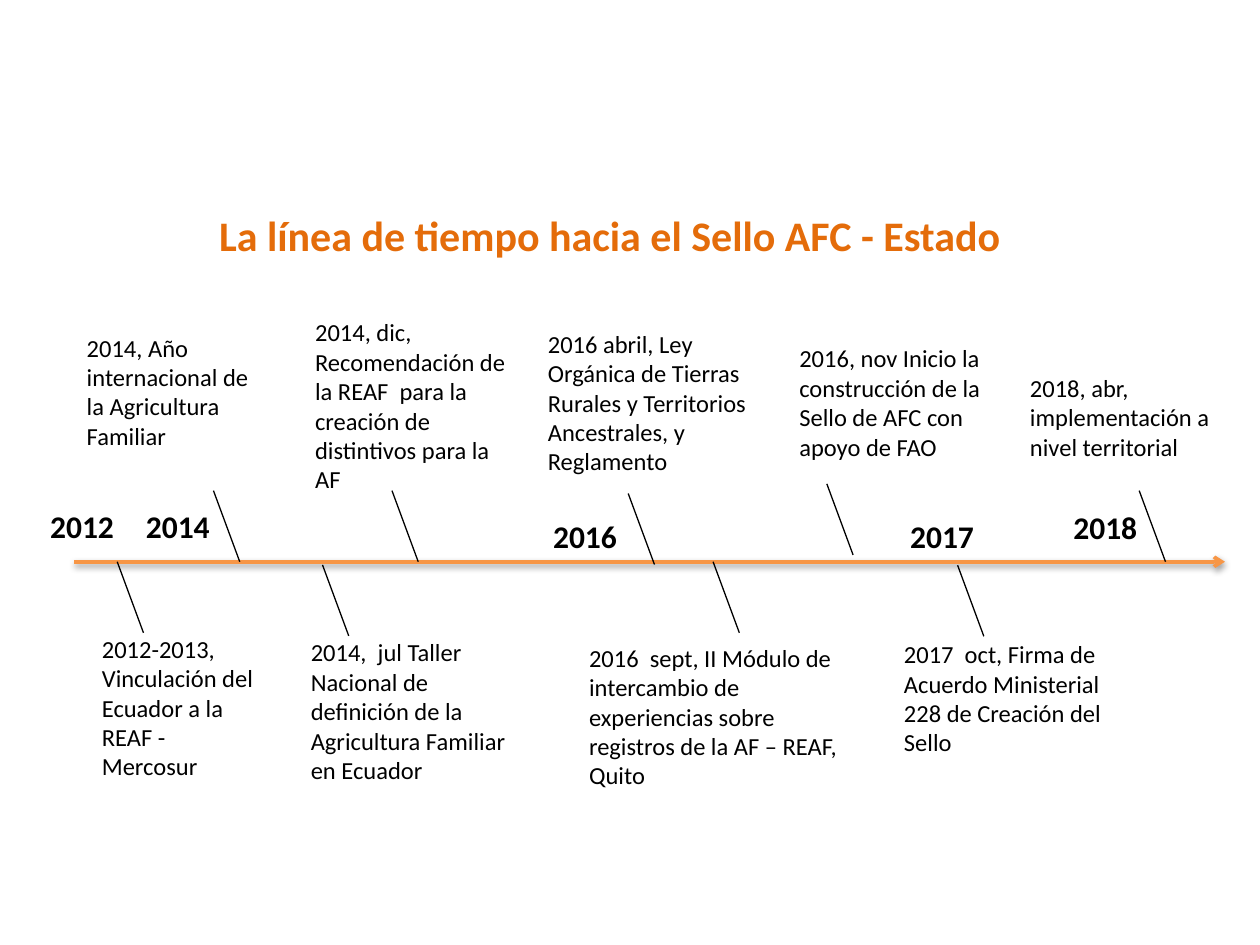
"""Build a timeline slide with dated notes above and below an arrow."""
from lxml.etree import SubElement
from pptx import Presentation
from pptx.dml.color import RGBColor
from pptx.enum.shapes import MSO_CONNECTOR
from pptx.enum.text import MSO_ANCHOR, MSO_AUTO_SIZE, PP_ALIGN
from pptx.oxml.ns import qn
from pptx.util import Pt

BLACK = RGBColor(0, 0, 0)
RUST = RGBColor(0xE4, 0x6C, 0x0A)
ORANGE = RGBColor(0xF7, 0x96, 0x46)
FONT = "Calibri"
TITLE = "La línea de tiempo hacia el Sello AFC - Estado"
AXIS = (42.5, 321, 700, 321)
LEAN, DROP = 15, 40.6

NOTES = [
    ("2012-2013, Vinculación del Ecuador a la REAF - Mercosur", 51.1, 358.6, 101.5, 92),
    ("2014, Año internacional de la Agricultura Familiar", 42.5, 186.5, 108, 75),
    ("2014, dic, Recomendación de la REAF  para la creación de distintivos para la AF",
     173, 177.8, 126.7, 109),
    ("2016 abril, Ley Orgánica de Tierras Rurales y Territorios Ancestrales, y Reglamento",
     306, 184.3, 131.8, 92),
    ("2014,  jul Taller Nacional de definición de la Agricultura Familiar en Ecuador",
     170.5, 360.7, 135.4, 92),
    ("2016  sept, II Módulo de  intercambio de experiencias sobre registros de la AF – REAF, Quito",
     329.5, 363.8, 157.7, 92),
    ("2016, nov Inicio la construcción de la Sello de AFC con apoyo de FAO", 449.7, 192.7, 120.2, 75),
    ("2017  oct, Firma de Acuerdo Ministerial  228 de Creación del Sello", 509.5, 361.7, 141.8, 75),
    ("2018, abr, implementación a nivel territorial", 581.5, 209.5, 120.2, 58),
]
YEARS = [("2014", 76.3, 286), ("2012", 21.6, 286), ("2016", 309, 291.6),
         ("2017", 513, 291.6), ("2018", 606.3, 287)]
TICKS = [(67, 321), (184.3, 322.8), (359, 282), (547.2, 323), (122, 280.4),
         (224, 280.4), (407.5, 321), (472.5, 276.5), (651, 280.4)]


def style(shape, text, size, color=BLACK, bold=False, align=PP_ALIGN.LEFT):
    frame = shape.text_frame
    frame.text = text
    frame.word_wrap = True
    frame.auto_size = MSO_AUTO_SIZE.NONE
    frame.vertical_anchor = MSO_ANCHOR.TOP
    para = frame.paragraphs[0]
    para.alignment = align
    para.font.name = FONT
    para.font.size = Pt(size)
    para.font.bold = bold
    para.font.color.rgb = color


def add_text(slide, text, box, size, bold=False):
    shape = slide.shapes.add_textbox(*map(Pt, box))
    style(shape, text, size, bold=bold)


def add_line(slide, ends, color, width):
    line = slide.shapes.add_connector(MSO_CONNECTOR.STRAIGHT, *map(Pt, ends))
    line.line.color.rgb = color
    line.line.width = Pt(width)
    effect = SubElement(line._element.spPr, qn("a:effectLst"))
    return line, effect


def add_axis(slide):
    line, effect = add_line(slide, AXIS, ORANGE, 2)
    SubElement(line.get_or_add_ln(), qn("a:tailEnd"), type="arrow")
    shade = SubElement(effect, qn("a:outerShdw"), blurRad="40000", dist="20000",
                       dir="5400000", rotWithShape="0")
    color = SubElement(shade, qn("a:srgbClr"), val="000000")
    SubElement(color, qn("a:alpha"), val="38000")


def main():
    deck = Presentation()
    deck.slide_width, deck.slide_height = Pt(720), Pt(540)
    slide = deck.slides.add_slide(deck.slide_layouts[5])
    title = slide.shapes.title
    title.left, title.top, title.width, title.height = map(Pt, (31, 116, 635, 36))
    style(title, TITLE, 24, RUST, True, PP_ALIGN.CENTER)
    add_axis(slide)
    for text, *box in NOTES:
        add_text(slide, text, box, 14)
    for x, y in TICKS:
        add_line(slide, (x, y, x + LEAN, y + DROP), BLACK, 0.75)
    for year, x, y in YEARS:
        add_text(slide, year, (x, y, 67, 29), 18, True)
    deck.save("out.pptx")


if __name__ == "__main__":
    main()
